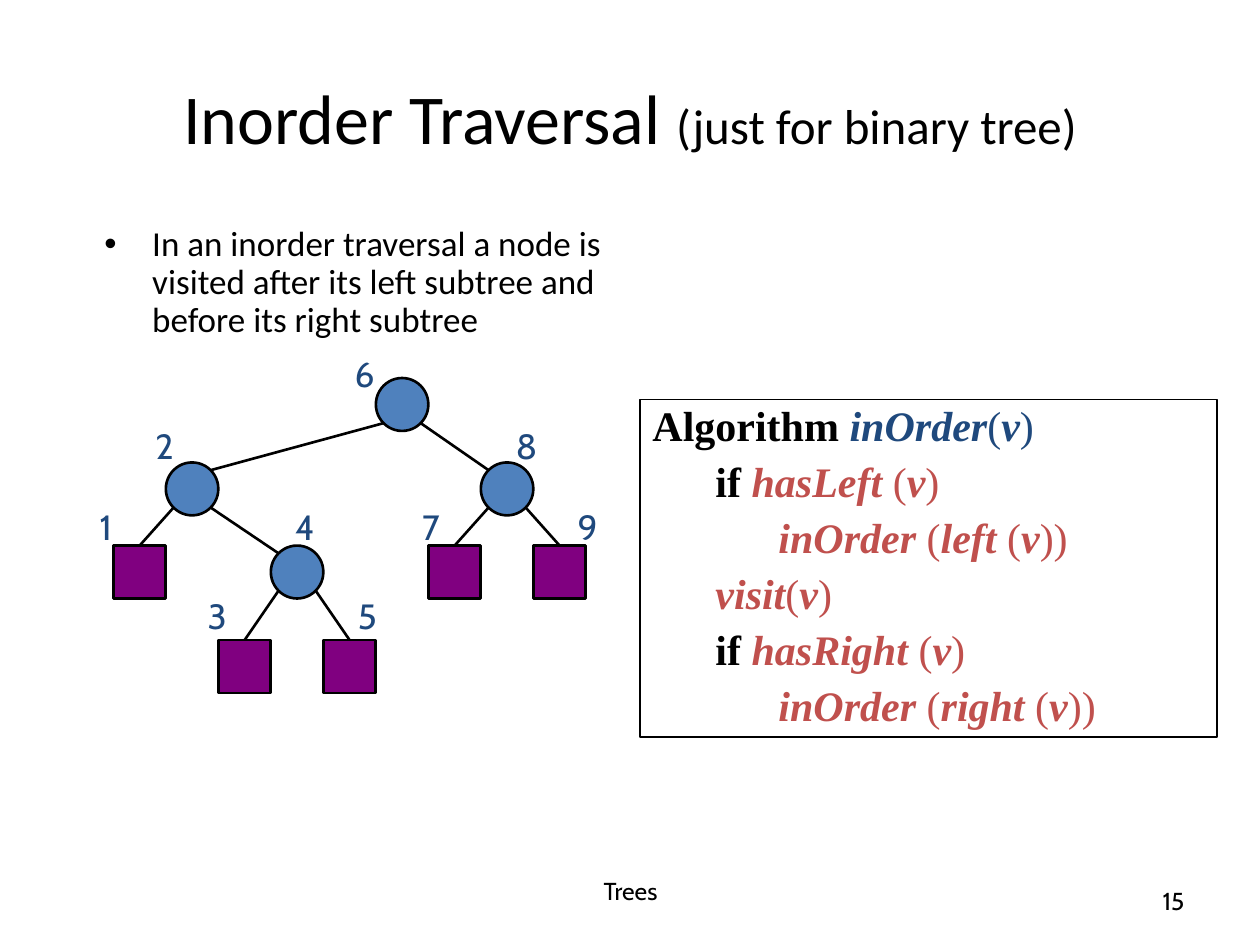
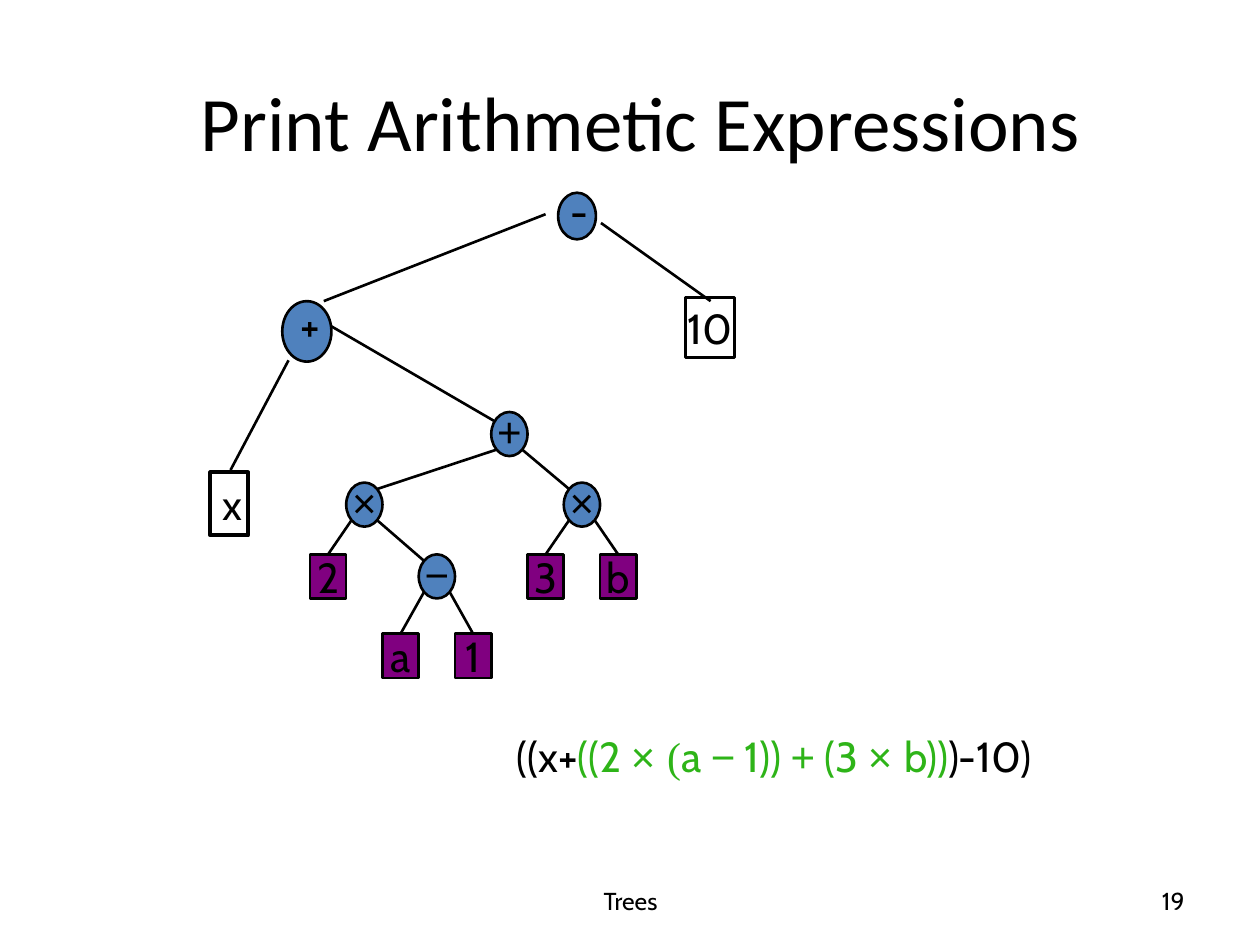
import math

import pptx
import pptx.dml.color
import pptx.enum.shapes
import pptx.enum.text
import pptx.oxml.ns
import pptx.util
from lxml import etree

Inches = pptx.util.Inches
RGBColor = pptx.dml.color.RGBColor
Shape = pptx.enum.shapes.MSO_SHAPE
Align = pptx.enum.text.PP_ALIGN
Anchor = pptx.enum.text.MSO_ANCHOR
qn = pptx.oxml.ns.qn

BLACK = RGBColor(0x00, 0x00, 0x00)
NODE_BLUE = RGBColor(0x4F, 0x81, 0xBD)
LEAF_PURPLE = RGBColor(0x80, 0x00, 0x80)
NAVY = RGBColor(0x1F, 0x49, 0x7D)
RED = RGBColor(0xC0, 0x50, 0x4D)
GREEN = RGBColor(0x2E, 0xB4, 0x18)

BODY, LABEL, MATH, CODE = "Calibri", "Cabin", "Arial", "Times New Roman"

# Both trees share one form: a node's column is its inorder rank.
TREE_LEVELS = [2, 1, 3, 2, 3, 0, 2, 1, 2]
TREE_CHILDREN = {5: (1, 7), 1: (0, 3), 3: (2, 4), 7: (6, 8)}


class Deck:
    def __init__(self):
        self.prs = pptx.Presentation()
        self.prs.slide_width, self.prs.slide_height = Inches(10), Inches(7.5)
        self.s = None

    def slide(self, title_box, title_runs, footer_top, number):
        self.s = self.prs.slides.add_slide(self.prs.slide_layouts[5])
        sp = self.s.shapes.title
        sp.left, sp.top, sp.width, sp.height = map(Inches, title_box)
        self.fill_text(sp.text_frame, title_runs, anchor=Anchor.MIDDLE, font=BODY)
        self.text((3.42, footer_top, 3.17, 0.4), "Trees", size=14, anchor=Anchor.MIDDLE)
        self.text((7.17, 6.95, 2.33, 0.4), number, size=14,
                  align=Align.RIGHT, anchor=Anchor.MIDDLE)

    def runs(self, p, runs, **base):
        """Add (text, format) runs, each laid over the base format."""
        for text, fmt in runs:
            r = p.add_run()
            r.text = text
            for key, value in {**base, **fmt}.items():
                if key == "color":
                    r.font.color.rgb = value
                else:
                    setattr(r.font, key, value)

    def fill_text(self, tf, text, size=24, font=LABEL, color=BLACK, align=Align.CENTER,
                  anchor=Anchor.TOP, wrap=True, insets=(0.1, 0.05, 0.1, 0.05)):
        sides = ("margin_left", "margin_top", "margin_right", "margin_bottom")
        frame = dict(zip(sides, map(Inches, insets)))
        frame.update(word_wrap=wrap, vertical_anchor=anchor)
        for key, value in frame.items():
            setattr(tf, key, value)
        p = tf.paragraphs[0]
        p.alignment = align
        runs = [(text, {})] if isinstance(text, str) else text
        self.runs(p, runs, size=pptx.util.Pt(size), name=font, color=color)
        return p

    def text(self, box, text, **style):
        sp = self.s.shapes.add_textbox(*map(Inches, box))
        return self.fill_text(sp.text_frame, text, **style)

    def bullet(self, box, text):
        p = self.text(box, text, size=20, font=BODY, align=Align.LEFT)
        p.line_spacing = 0.9
        pPr = p._p.get_or_add_pPr()
        pPr.set("marL", str(Inches(0.38)))
        pPr.set("indent", str(-Inches(0.38)))
        etree.SubElement(pPr, qn("a:buFont")).set("typeface", "Arial")
        etree.SubElement(pPr, qn("a:buChar")).set("char", "•")

    def shape(self, kind, box, fill=None, width=1.5, text="", **style):
        sp = self.s.shapes.add_shape(kind, *map(Inches, box))
        sp.shadow.inherit = False
        if fill is None:
            sp.fill.background()
        else:
            sp.fill.solid()
            sp.fill.fore_color.rgb = fill
        sp.line.color.rgb = BLACK
        sp.line.width = pptx.util.Pt(width)
        if text:
            self.fill_text(sp.text_frame, text, **style)
        return sp

    def line(self, start, end):
        c = self.s.shapes.add_connector(pptx.enum.shapes.MSO_CONNECTOR.STRAIGHT,
                                        *map(Inches, (*start, *end)))
        c.line.color.rgb = BLACK
        c.line.width = pptx.util.Pt(1.5)
        etree.SubElement(c._element.spPr, qn("a:effectLst"))

    def tree(self, left, right, tops, height, symbols=None):
        """Draw the nine-node tree; return the top-left corner of each node."""
        symbols = symbols or [""] * len(TREE_LEVELS)
        width = (right - left) / len(TREE_LEVELS)
        corners = [(left + i * width, tops[level]) for i, level in enumerate(TREE_LEVELS)]
        dx, dy = (math.sqrt(0.5) * d / 2 for d in (width, height))

        for i, (corner, symbol) in enumerate(zip(corners, symbols)):
            box = (*corner, width, height)
            style = dict(text=symbol, wrap=False, anchor=Anchor.MIDDLE)
            if i in TREE_CHILDREN:
                self.shape(Shape.OVAL, box, NODE_BLUE, font=MATH,
                           insets=(0, 0, 0, 0.05), **style)
            else:
                self.shape(Shape.RECTANGLE, box, LEAF_PURPLE, **style)

        centers = [(x + width / 2, y + height / 2) for x, y in corners]
        for parent, children in TREE_CHILDREN.items():
            px, py = centers[parent]
            for child, side in zip(children, (-1, 1)):
                x, y = centers[child]
                end = (x - side * dx, y - dy) if child in TREE_CHILDREN else (x, y - height / 2)
                self.line((px + side * dx, py + dy), end)
        return corners

    def algorithm(self, box, lines):
        """Set lines of (level, keyword, colour, pieces); pieces alternate name, bracket."""
        sp = self.shape(Shape.RECTANGLE, box, width=0.75)
        tf = sp.text_frame
        p = self.fill_text(tf, [])
        for n, (level, keyword, color, pieces) in enumerate(lines):
            if n:
                p = tf.add_paragraph()
                p.space_before = pptx.util.Pt(6)
            p.alignment = Align.LEFT
            p.level = level
            p.line_spacing = 0.9
            pPr = p._p.get_or_add_pPr()
            pPr.set("marL", str(Inches(0.5 * level)))
            pPr.set("indent", "0")
            base = dict(size=pptx.util.Pt(24), name=CODE)
            if keyword:
                self.runs(p, [(keyword, {})], bold=True, color=BLACK, **base)
            runs = [(piece, dict(bold=i % 2 == 0, italic=i % 2 == 0))
                    for i, piece in enumerate(pieces)]
            self.runs(p, runs, color=color, **base)


def inorder_slide(deck):
    deck.slide((0.5, 0.3, 9, 1.25),
               [("Inorder Traversal ", dict(size=pptx.util.Pt(40))),
                ("(just for binary tree)", dict(size=pptx.util.Pt(28)))], 6.87, "15")
    deck.bullet((0.73, 1.75, 4.19, 1.83),
                "In an inorder traversal a node is visited after its left subtree "
                "and before its right subtree")
    deck.algorithm((5.08, 3.17, 4.58, 2.68), [
        (0, "Algorithm ", NAVY, ["inOrder", "(", "v", ")"]),
        (1, "if ", RED, ["hasLeft ", "(", "v", ")"]),
        (2, "", RED, ["inOrder", " (", "left ", "(", "v", "))"]),
        (1, "", RED, ["visit", "(", "v", ")"]),
        (1, "if ", RED, ["hasRight ", "(", "v", ")"]),
        (2, "", RED, ["inOrder", " (", "right ", "(", "v", "))"]),
    ])
    corners = deck.tree(0.9, 4.65, (3, 3.67, 4.33, 5.08), 0.42)
    label_tops = (2.75, 3.32, 3.96, 4.67)
    label_shifts = (-0.24, -0.19, -0.19, 0.09, 0.17, -0.27, -0.16, 0.18, 0.25)
    for rank, ((x, _), shift) in enumerate(zip(corners, label_shifts)):
        deck.text((x + shift, label_tops[TREE_LEVELS[rank]], 0.36, 0.44), str(rank + 1),
                  size=20, color=NAVY, wrap=False)


def expression_slide(deck):
    deck.slide((0.67, 0.33, 8.83, 1.25),
               [("Print Arithmetic Expressions", dict(size=pptx.util.Pt(44)))], 6.95, "19")

    green, operator = dict(color=GREEN), dict(color=GREEN, name=MATH)
    deck.text((3.68, 5.75, 4.92, 0.5), [
        ("((x+", {}), ("((2 ", green), ("× ", operator),
        ("(", dict(color=GREEN, name=CODE)), ("a ", green), ("−", operator),
        (" 1)) ", green), ("+", operator), (" (3 ", green), ("× ", operator),
        ("b))", green), (")-10)", {}),
    ], wrap=False)

    deck.tree(2.46, 5.05, (3.27, 3.83, 4.4, 5.03), 0.35, "2×a−1+3×b")

    deck.shape(Shape.RECTANGLE, (1.67, 3.75, 0.3, 0.5), width=2.25, text="x")
    deck.shape(Shape.RECTANGLE, (5.44, 2.36, 0.39, 0.48), text="10",
               wrap=False, anchor=Anchor.MIDDLE)
    for symbol, oval, label in (
            ("+", (2.24, 2.39, 0.39, 0.48), (2.29, 2.33, 0.28, 0.5)),
            ("-", (4.43, 1.53, 0.3, 0.37), (4.42, 1.42, 0.36, 0.5))):
        deck.shape(Shape.OVAL, oval, NODE_BLUE)
        deck.text(label, symbol)
    for start, end in (((2.29, 2.86), (1.83, 3.73)), ((2.63, 2.59), (3.92, 3.34)),
                       ((2.57, 2.39), (4.33, 1.7)), ((4.77, 1.77), (5.64, 2.39))):
        deck.line(start, end)


def main():
    deck = Deck()
    inorder_slide(deck)
    expression_slide(deck)
    deck.prs.save("out.pptx")


if __name__ == "__main__":
    main()
